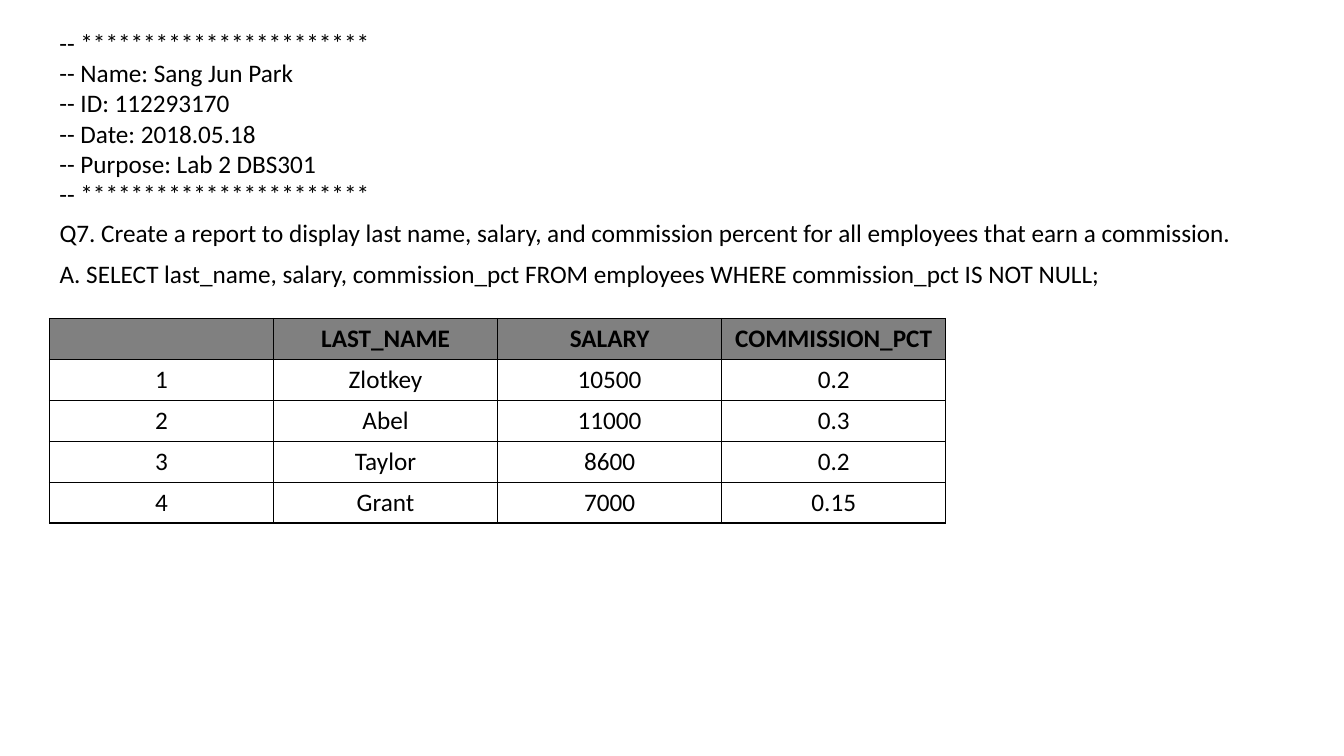
import dataclasses

import pptx
import pptx.dml.color
import pptx.enum.text
import pptx.oxml
import pptx.oxml.ns
import pptx.util

Inches = pptx.util.Inches
Pt = pptx.util.Pt
Align = pptx.enum.text.PP_ALIGN


@dataclasses.dataclass(frozen=True)
class Theme:
    font: str = "Calibri"
    size: int = 18
    ink: str = "000000"
    head: str = "808080"
    paper: str = "FFFFFF"
    border: int = 1


def color(code):
    return pptx.dml.color.RGBColor.from_string(code)


class Page:
    def __init__(self, deck, theme):
        self.theme = theme
        self.slide = deck.slides.add_slide(deck.slide_layouts[0])
        title = self.slide.shapes.title.element
        title.getparent().remove(title)

    def style(self, frame, align=Align.LEFT, bold=False):
        for para in frame.paragraphs:
            para.alignment = align
            for run in para.runs:
                run.font.name = self.theme.font
                run.font.size = Pt(self.theme.size)
                run.font.bold = bold
                run.font.color.rgb = color(self.theme.ink)

    def place(self, shape, left, top, width, height):
        shape.left, shape.top = Inches(left), Inches(top)
        shape.width, shape.height = Inches(width), Inches(height)

    def fill(self, shape, lines):
        frame = shape.text_frame
        frame.word_wrap = True
        frame.auto_size = pptx.enum.text.MSO_AUTO_SIZE.NONE
        frame.vertical_anchor = pptx.enum.text.MSO_ANCHOR.TOP
        frame.text = "\n".join(lines)
        self.style(frame)
        return frame

    def body(self, lines, *box):
        shape = self.slide.placeholders[1]
        self.place(shape, *box)
        for para in self.fill(shape, lines).paragraphs:
            para.line_spacing = 0.9
            para.space_before = Pt(10)

    def note(self, lines, *box):
        shape = self.slide.shapes.add_textbox(*map(Inches, box))
        frame = self.fill(shape, lines)
        frame.auto_size = pptx.enum.text.MSO_AUTO_SIZE.SHAPE_TO_FIT_TEXT

    def edge(self, cell):
        """Draw a line on all four sides; call before the cell is filled."""
        props = cell._tc.get_or_add_tcPr()
        for side in ("lnL", "lnR", "lnT", "lnB"):
            props.append(pptx.oxml.parse_xml(
                f'<a:{side} {pptx.oxml.ns.nsdecls("a")} w="{Pt(self.theme.border)}">'
                f'<a:solidFill><a:srgbClr val="{self.theme.ink}"/></a:solidFill>'
                f'</a:{side}>'))

    def table(self, rows, *box):
        table = self.slide.shapes.add_table(
            len(rows), len(rows[0]), *map(Inches, box)).table
        table.horz_banding = False
        for r, row in enumerate(rows):
            for c, word in enumerate(row):
                cell = table.cell(r, c)
                self.edge(cell)
                cell.fill.solid()
                cell.fill.fore_color.rgb = color(
                    self.theme.paper if r else self.theme.head)
                cell.text_frame.text = word
                self.style(cell.text_frame, Align.CENTER, r == 0)


def main():
    deck = pptx.Presentation()
    deck.slide_width, deck.slide_height = Inches(13.33), Inches(7.5)
    page = Page(deck, Theme())
    left = 0.49
    stars = "-- " + "*" * 23

    page.body([
        "Q7. Create a report to display last name, salary, and commission "
        "percent for all employees that earn a commission.",
        "A. SELECT last_name, salary, commission_pct FROM employees "
        "WHERE commission_pct IS NOT NULL;",
    ], left, 2.14, 12.44, 0.84)
    page.table([
        ("", "LAST_NAME", "SALARY", "COMMISSION_PCT"),
        ("1", "Zlotkey", "10500", "0.2"),
        ("2", "Abel", "11000", "0.3"),
        ("3", "Taylor", "8600", "0.2"),
        ("4", "Grant", "7000", "0.15"),
    ], left, 3.16, 8.89, 2.03)
    page.note([
        stars,
        "-- Name: Sang Jun Park",
        "-- ID: 112293170",
        "-- Date: 2018.05.18",
        "-- Purpose: Lab 2 DBS301",
        stars,
    ], left, 0.22, 6.67, 1.92)
    deck.save("out.pptx")


if __name__ == "__main__":
    main()
